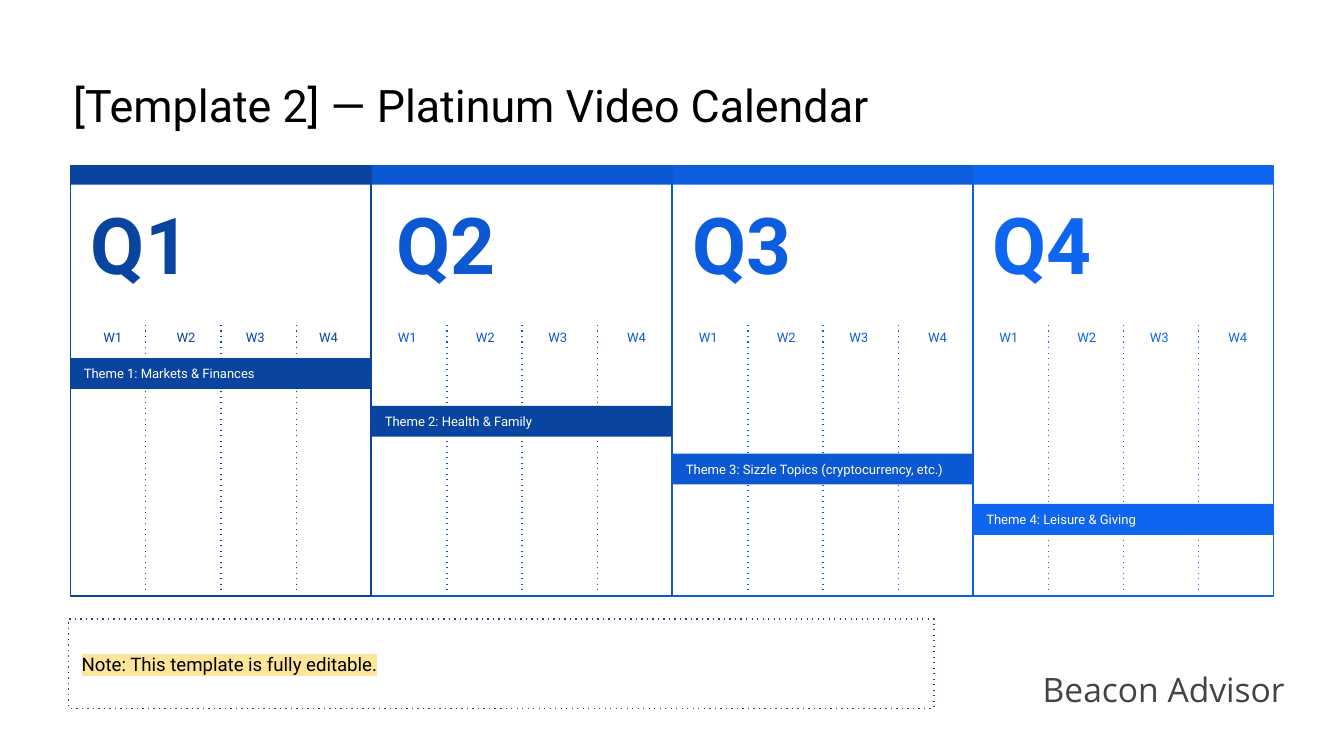
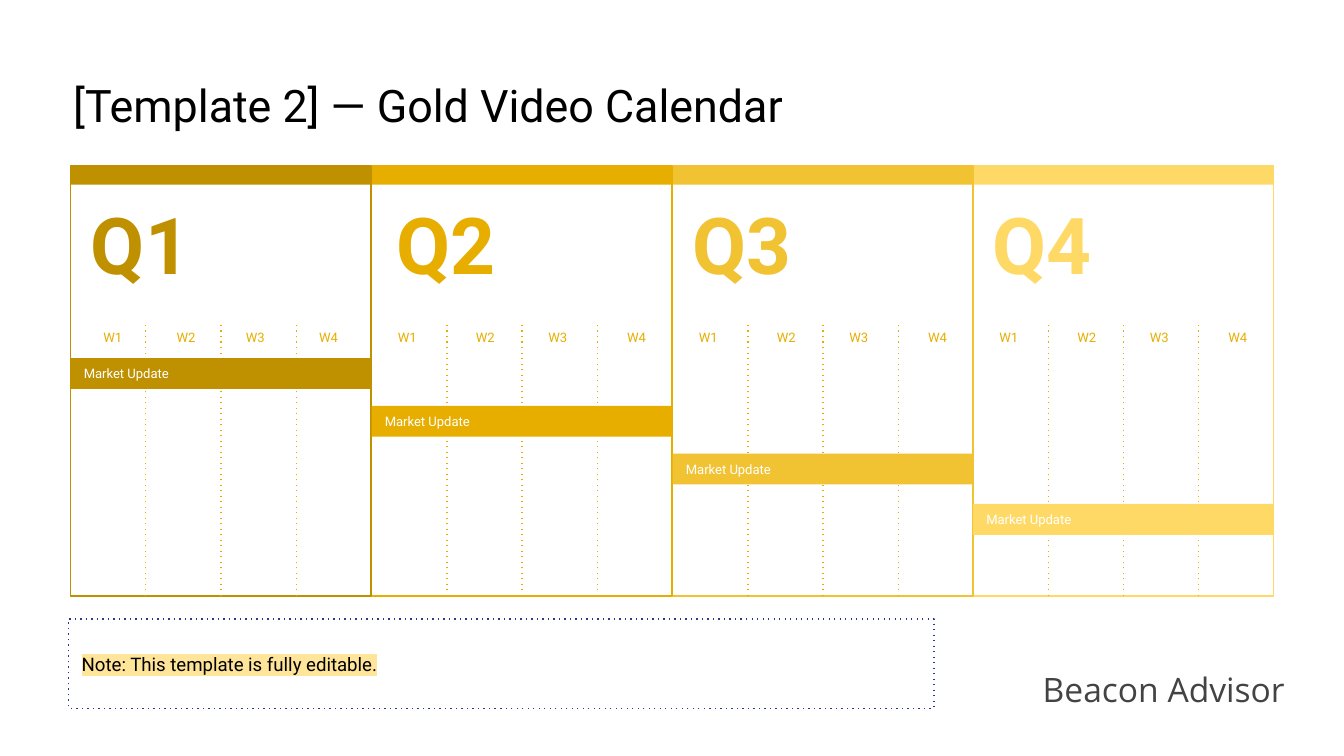
from pptx import Presentation
from pptx import util as u
from pptx.dml.color import RGBColor
from pptx.enum import shapes, text
from pptx.enum.dml import MSO_LINE
from pptx.oxml import parse_xml
from pptx.oxml.ns import nsdecls, qn

PX = 4572
FONT = "Roboto"
BLACK, WHITE, GREY, NAVY, CREAM = "000000", "FFFFFF", "434343", "2A3990", "FFE599"
LEFTS = [105, 553, 1001, 1448]
LABEL_WIDTHS = [208, 222, 206, 206]
WEEK_OFFSETS = [[27, 136, 239, 348]] + [[14, 130, 238, 355]] * 3
WEEK_WIDTHS = [72, 78, 78, 78]
QUARTER_W, TOP, BOTTOM, BAND_H = 447, 247, 887, 28
DIVIDER_GAP, WEEK_TOP = 112, 482
THEME_TOPS = [533, 604, 675, 750]

BLUES = ["0944A1", "0C58D3", "0D5DDF", "0E65F0"]
GOLDS = ["BF9000", "E7AE00", "F1C232", "FFD966"]
CALENDARS = [
    {
        "title": "[Template 2] — Platinum Video Calendar",
        "quarters": BLUES,
        "weeks": BLUES,
        "bars": [BLUES[0], BLUES[0], BLUES[1], BLUES[3]],
        "themes": [
            "Theme 1: Markets & Finances",
            "Theme 2: Health & Family",
            "Theme 3: Sizzle Topics (cryptocurrency, etc.)",
            "Theme 4: Leisure & Giving",
        ],
    },
    {
        "title": "[Template 2] — Gold Video Calendar",
        "quarters": GOLDS,
        "weeks": [GOLDS[1]] * 4,
        "bars": GOLDS,
        "themes": ["Market Update"] * 4,
    },
]


def write(sp, words, size, color, font=FONT, bold=False, align="LEFT", anchor="MIDDLE"):
    tf = sp.text_frame
    tf.word_wrap = True
    tf.auto_size = text.MSO_AUTO_SIZE.NONE
    tf.vertical_anchor = text.MSO_ANCHOR[anchor]
    tf.margin_left = tf.margin_right = tf.margin_top = tf.margin_bottom = 20 * PX
    p = tf.paragraphs[0]
    p.alignment = text.PP_ALIGN[align]
    r = p.add_run()
    r.text = words
    r.font.name = font
    r.font.size = u.Pt(size)
    r.font.bold = bold
    r.font.color.rgb = RGBColor.from_string(color)
    return r


def draw(parent, x, y, w, h, fill=None, line=None, dotted=False, kind="rect"):
    x, y, w, h = (v * PX for v in (x, y, w, h))
    if kind == "text":
        return parent.add_textbox(x, y, w, h)
    if kind == "line":
        sp = parent.add_connector(shapes.MSO_CONNECTOR.STRAIGHT, x, y + h, x + w, y)
        sp._element.spPr.append(parse_xml(f"<a:effectLst {nsdecls('a')}/>"))
    else:
        sp = parent.add_shape(shapes.MSO_SHAPE.RECTANGLE, x, y, w, h)
        sp.shadow.inherit = False
        if fill:
            sp.fill.solid()
            sp.fill.fore_color.rgb = RGBColor.from_string(fill)
        else:
            sp.fill.background()
    if line:
        sp.line.color.rgb = RGBColor.from_string(line)
        sp.line.width = u.Pt(0.75)
        if dotted:
            sp.line.dash_style = MSO_LINE.ROUND_DOT
            sp._element.spPr.find(f".//{qn('a:prstDash')}").set("val", "dot")
    else:
        sp.line.fill.background()
    return sp


prs = Presentation()
prs.slide_width, prs.slide_height = 2000 * PX, 1125 * PX

for calendar in CALENDARS:
    s = prs.slides.add_slide(prs.slide_layouts[5])
    title = s.shapes.title
    title.left, title.top, title.width, title.height = (v * PX for v in (89, 90, 1864, 132))
    write(title, calendar["title"], 24, BLACK)

    footer = draw(s.shapes, 1532, 976, 702, 110, kind="text")
    write(footer, "Beacon Advisor", 18, GREY, font="Open Sans", anchor="TOP")

    for i, left in reversed(list(enumerate(LEFTS))):
        color, week_color = calendar["quarters"][i], calendar["weeks"][i]
        quarter = s.shapes.add_group_shape().shapes
        draw(quarter, left, TOP, QUARTER_W, BOTTOM - TOP, line=color)
        draw(quarter, left, TOP, QUARTER_W, BAND_H, fill=color)
        label = draw(quarter, left, TOP + BAND_H, LABEL_WIDTHS[i], 174, kind="text")
        write(label, f"Q{i + 1}", 42, color, bold=True, align="CENTER")
        for n, offset in enumerate(WEEK_OFFSETS[i], 1):
            week = draw(quarter, left + offset, WEEK_TOP, WEEK_WIDTHS[i], 40, kind="text")
            write(week, f"W{n}", 7, week_color, align="CENTER")
        for n in range(1, 4):
            draw(quarter, left + n * DIVIDER_GAP, WEEK_TOP, 0, BOTTOM - WEEK_TOP,
                 line=week_color, dotted=True, kind="line")

    for left, top, color, theme in zip(LEFTS, THEME_TOPS, calendar["bars"], calendar["themes"]):
        bar = draw(s.shapes, left, top, QUARTER_W, 46, fill=color)
        write(bar, theme, 7, WHITE)

    note = draw(s.shapes, 102, 921, 1288, 133, line=NAVY, dotted=True)
    r = write(note, "Note: This template is fully editable.", 10, BLACK)
    r.font._element.find(qn("a:solidFill")).addnext(parse_xml(
        f'<a:highlight {nsdecls("a")}><a:srgbClr val="{CREAM}"/></a:highlight>'))

prs.save("out.pptx")
